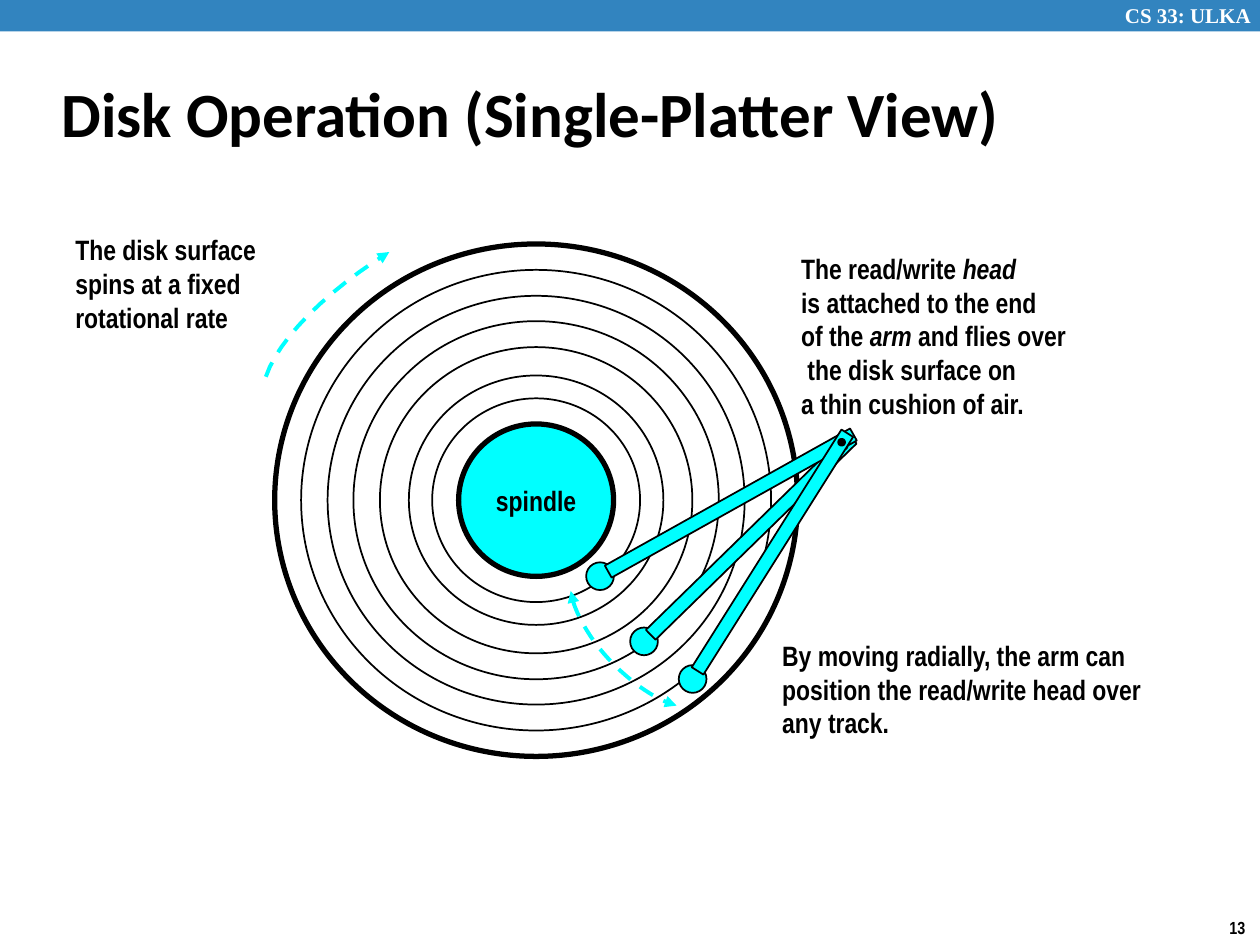
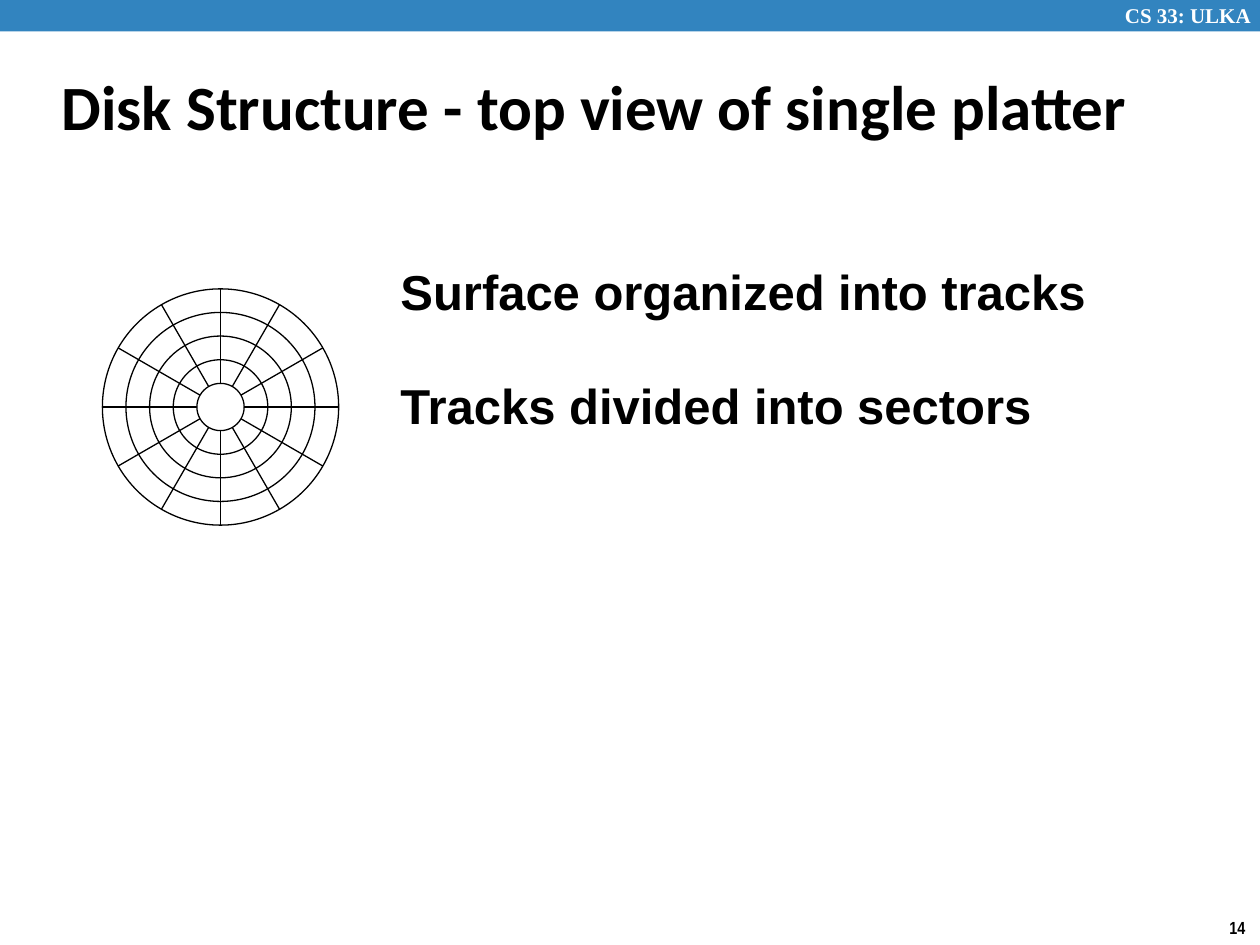
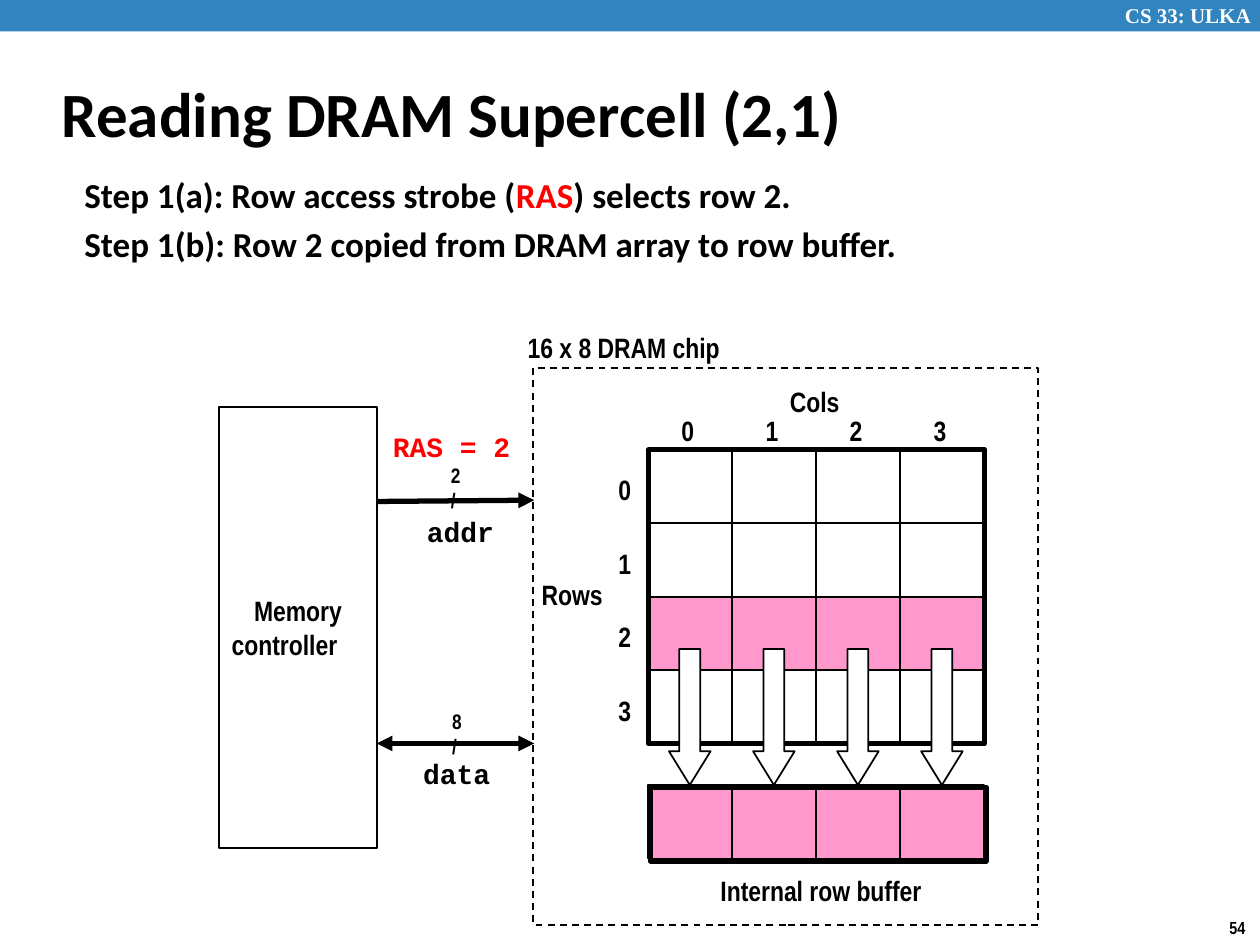
from dataclasses import dataclass
from math import cos, radians, sin

from lxml import etree
from pptx import Presentation
from pptx import util as u
from pptx.dml import color as dc
from pptx.enum import dml, shapes, text
from pptx.oxml import ns


@dataclass(frozen=True)
class Theme:
    black: str = "000000"
    white: str = "FFFFFF"
    blue: str = "3284BF"
    cyan: str = "00FFFF"
    pink: str = "FF99CC"
    red: str = "FF0000"
    head: str = "Calibri"
    label: str = "Arial Narrow"
    plain: str = "Arial"
    code: str = "Courier New"
    serif: str = "Times New Roman"
    title: int = 36
    big: int = 28
    body: int = 20
    note: int = 16
    small: int = 12
    page: int = 10
    thin: float = 0.75
    line: float = 1
    dash: float = 2.25
    thick: float = 3


T = Theme()
COLS, ROWS = 100, 75
WIDE, HIGH = u.Inches(10), u.Inches(7.5)
KIND = shapes.MSO_SHAPE
LEFT, MID = text.PP_ALIGN.LEFT, text.PP_ALIGN.CENTER
TOP, CORE, LOW = (
    text.MSO_ANCHOR.TOP, text.MSO_ANCHOR.MIDDLE, text.MSO_ANCHOR.BOTTOM)


def col(n):
    return round(WIDE * n / COLS)


def row(n):
    return round(HIGH * n / ROWS)


def area(x, y, w, h):
    return col(x), row(y), col(w), row(h)


def rgb(code):
    return dc.RGBColor.from_string(code)


def write(frame, lines, size=T.note, font=T.label, ink=T.black, hot=None,
          align=LEFT, anchor=TOP):
    frame.word_wrap = True
    frame.auto_size = text.MSO_AUTO_SIZE.NONE
    frame.vertical_anchor = anchor
    frame.text = "\n".join(lines)
    for para in frame.paragraphs:
        para.alignment = align
        first, *rest = para.text.split("*")
        para.text = first
        for part in rest:
            para.add_run().text = part
        for i, run in enumerate(para.runs):
            mark = i % 2 == 1
            run.font.size = u.Pt(size)
            run.font.name = font
            run.font.bold = True
            run.font.italic = mark and hot is None
            run.font.color.rgb = rgb(hot if mark and hot else ink)


def note(slide, box, *lines, **style):
    frame = slide.shapes.add_textbox(*area(*box)).text_frame
    write(frame, lines, **style)


def paint(shape, fill=None, ink=T.black, width=T.line, dash=False):
    shape.shadow.inherit = False
    if fill:
        shape.fill.solid()
        shape.fill.fore_color.rgb = rgb(fill)
    else:
        shape.fill.background()
    if ink:
        stroke(shape, ink, width, dash)
    else:
        shape.line.fill.background()


def stroke(shape, ink, width, dash=False):
    shape.line.color.rgb = rgb(ink)
    shape.line.width = u.Pt(width)
    if dash:
        shape.line.dash_style = dml.MSO_LINE.DASH


def tips(shape, *ends):
    ln = shape.element.spPr.find(ns.qn("a:ln"))
    for end in ends:
        etree.SubElement(ln, ns.qn(f"a:{end}End"), type="triangle")


def block(slide, box, kind=KIND.RECTANGLE, **look):
    shape = slide.shapes.add_shape(kind, *area(*box))
    paint(shape, **look)
    return shape


def disc(slide, x, y, w, h=None, **look):
    h = h or w
    return block(slide, (x - w / 2, y - h / 2, w, h), KIND.OVAL, **look)


def link(slide, start, stop, width, *ends):
    line = slide.shapes.add_connector(
        shapes.MSO_CONNECTOR.STRAIGHT,
        col(start[0]), row(start[1]), col(stop[0]), row(stop[1]))
    stroke(line, T.black, width)
    tips(line, *ends)
    etree.SubElement(line.element.spPr, ns.qn("a:effectLst"))


def curve(slide, start, *bends, ends=("tail",), steps=12):
    points, last = [], start
    for a, b, stop in bends:
        for i in range(1, steps + 1):
            t = i / steps
            s = 1 - t
            points.append(tuple(
                s**3 * p + 3 * s * s * t * q + 3 * s * t * t * r + t**3 * v
                for p, q, r, v in zip(last, a, b, stop)))
        last = stop
    pen = slide.shapes.build_freeform(col(start[0]), row(start[1]))
    pen.add_line_segments([(col(x), row(y)) for x, y in points], close=False)
    shape = pen.convert_to_shape()
    paint(shape, ink=T.cyan, width=T.dash, dash=True)
    tips(shape, *ends)


def arm(slide, x, y, turn):
    dx, dy = cos(radians(turn)), sin(radians(turn))
    disc(slide, x - 22.2 * dx, y - 22.2 * dy, 2.2, fill=T.cyan)
    mx, my = x - 10.3 * dx, y - 10.3 * dy
    bar = block(slide, (mx - 11.15, my - 0.55, 22.3, 1.1), fill=T.cyan)
    bar.rotation = turn
    disc(slide, x, y, 0.4, fill=T.black, width=2)


def page(deck, name, number, layout=5, box=(3.9, 4.8, 83, 8.3)):
    slide = deck.slides.add_slide(deck.slide_layouts[layout])
    block(slide, (0, 0, COLS, 2.5), fill=T.blue, ink=None)
    note(slide, (88.3, -0.3, 12.4, 3), "CS 33: ULKA",
         size=T.small, font=T.serif, ink=T.white)
    note(slide, (96.6, 72.3, 3.4, 2.7), str(number), size=T.page)
    title = slide.shapes.title
    title.left, title.top, title.width, title.height = area(*box)
    write(title.text_frame, [name], size=T.title, font=T.head, anchor=CORE)
    return slide


def steps(slide, box, *lines):
    body = slide.placeholders[1]
    body.left, body.top, body.width, body.height = area(*box)
    write(body.text_frame, lines, size=T.body, font=T.head, hot=T.red)
    for para in body.text_frame.paragraphs:
        para.space_before = u.Pt(T.body / 5)
        props = para._p.get_or_add_pPr()
        props.set("marL", "0")
        props.set("indent", "0")
        etree.SubElement(props, ns.qn("a:buNone"))


def motion(deck):
    slide = page(deck, "Disk Operation (Single-Platter View)", 13)
    x, y, flat = 42.55, 39.7, 0.98
    disc(slide, x, y, 41.5, 41.5 * flat, width=T.thick)
    for size in (37.3, 33.1, 29, 24.8, 20.2, 16.5):
        disc(slide, x, y, size, size * flat)
    curve(slide, (21.1, 29.9), ((22.1, 26.9), (25.9, 23.1), (30.9, 20)))
    note(slide, (5, 18, 19, 11.7), "The disk surface",
         "spins at a fixed", "rotational rate")
    note(slide, (61.1, 50.2, 32.2, 9), "By moving radially, the arm can "
         "position the read/write head over any track.")
    curve(slide, (45.3, 46.9),
          ((45.5, 48.4), (46.7, 50.6), (48.4, 52.4)),
          ((50.2, 54.3), (52.2, 55.6), (53.7, 56)), ends=("head", "tail"))
    note(slide, (62.6, 19.5, 27.7, 14.3), "The read/write *head*",
         "is attached to the end", "of the *arm* and flies over",
         " the disk surface on", "a thin cushion of air.")
    for px, py, turn in (
            (67, 35.4, 315.7), (67, 34.9, 330.8), (66.8, 35.1, 302.2)):
        arm(slide, px, py, turn)
    hub = disc(slide, x, y, 12.3, 12.1, fill=T.cyan, width=T.thick)
    write(hub.text_frame, ["spindle"], align=MID, anchor=CORE)
    hub.text_frame.word_wrap = False


def layout(deck):
    slide = page(deck, "Disk Structure - top view of single platter", 14,
                 box=(3.9, 4.2, 92.8, 8.3))
    x, y, gap = 17.5, 32.3, 3.75
    disc(slide, x, y, 5 * gap, fill=T.white, width=T.thin)
    for turn in range(0, 180, 30):
        dx = 2.5 * gap * cos(radians(turn))
        dy = 2.5 * gap * sin(radians(turn))
        link(slide, (x + dx, y + dy), (x - dx, y - dy), T.thin)
    disc(slide, x, y, gap, fill=T.white, width=T.thin)
    for ring in (4, 3, 2):
        disc(slide, x, y, ring * gap, width=T.thin)
    for top, line in ((16.7, "Surface organized into tracks"),
                      (25.8, "Tracks divided into sectors")):
        note(slide, (30.8, top, 62.5, 9.2), line,
             size=T.big, font=T.plain, anchor=LOW)


def memory(deck):
    slide = page(deck, "Reading DRAM Supercell (2,1)", 54, layout=1)
    steps(slide, (5.7, 13.3, 89.3, 10.8),
          "Step 1(a): Row access strobe (*RAS*) selects row 2.",
          "Step 1(b): Row 2 copied from DRAM array to row buffer.")
    x, y, w, h, count, pick = 51.45, 35.7, 6.67, 5.83, 4, 2
    block(slide, (42.3, 29.2, 40.1, 44.2), dash=True)
    block(slide, (51.6, 62.5, count * w, h), fill=T.pink, width=T.thick)
    for i in range(count):
        for j in range(count):
            block(slide, (x + j * w, y + i * h, w, h),
                  fill=T.pink if i == pick else T.white)
        block(slide, (x + i * w, 62.3, w, h))
        note(slide, (53.1 + i * w, 32.3, 3.2, 3.7), str(i), anchor=CORE)
        note(slide, (48.1, 37 + i * h, 3.2, 3.7), str(i), anchor=CORE)
    block(slide, (x, y, count * w, count * h), width=T.thick)
    for i in range(count):
        arrow = block(slide, (53.1 + i * w, 51.5, 3.3, 10.8),
                      KIND.DOWN_ARROW, fill=T.white)
        arrow.adjustments[0] = 0.5
        arrow.adjustments[1] = 0.81
    for box, line in (((61.7, 30, 6, 3.7), "Cols"),
                      ((42, 45.3, 6.9, 3.7), "Rows"),
                      ((56.2, 68.8, 18.4, 3.7), "Internal row buffer"),
                      ((40.9, 25.7, 20.7, 3.7), "16 x 8 DRAM chip")):
        note(slide, box, line, anchor=CORE)
    unit = block(slide, (17.4, 32.3, 12.5, 35), fill=T.white)
    write(unit.text_frame, ["Memory", "controller"], anchor=CORE)
    unit.text_frame.paragraphs[0].alignment = MID
    link(slide, (29.9, 39.8), (42.4, 39.7), T.thick, "tail")
    link(slide, (29.9, 59), (42.4, 59), T.thick, "head", "tail")
    for box, line, ink in (((30.2, 33.6, 11.6, 3.7), "RAS = 2", T.red),
                           ((32.9, 40.3, 7.6, 3.7), "addr", T.black),
                           ((32.6, 59.5, 7.6, 3.7), "data", T.black)):
        note(slide, box, line, font=T.code, ink=ink, anchor=CORE)
    for left, top, bits in ((34.8, 36.2, "2"), (34.9, 55.7, "8")):
        note(slide, (left, top, 3, 5), bits, "/", size=T.small, anchor=CORE)


def main():
    deck = Presentation()
    deck.slide_width, deck.slide_height = WIDE, HIGH
    motion(deck)
    layout(deck)
    memory(deck)
    deck.save("out.pptx")


if __name__ == "__main__":
    main()
